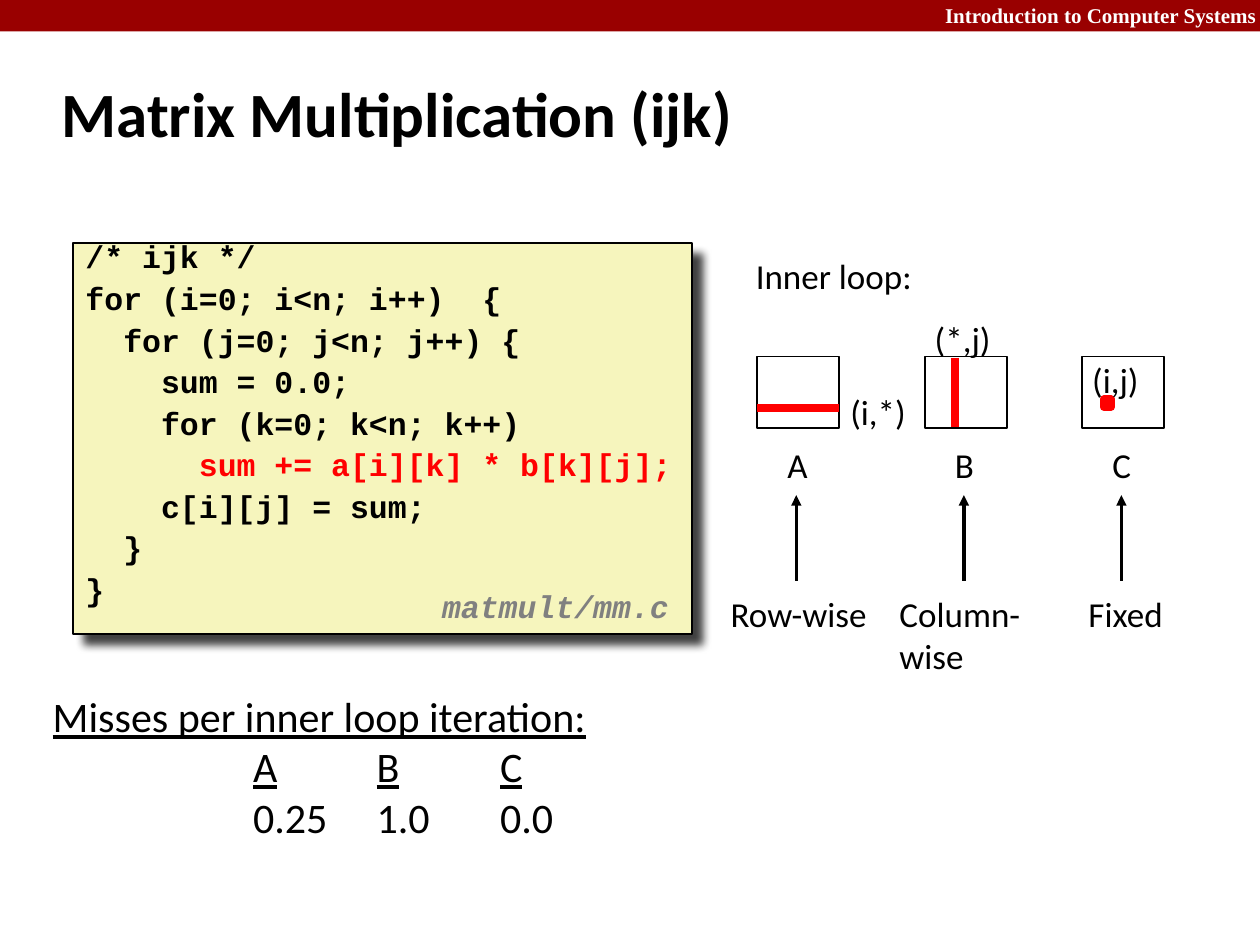
import pptx
import pptx.dml.color
import pptx.enum.shapes
import pptx.enum.text
import pptx.oxml
import pptx.oxml.ns
import pptx.util
from pptx.util import Inches

RGBColor = pptx.dml.color.RGBColor
BLACK = RGBColor(0x00, 0x00, 0x00)
WHITE = RGBColor(0xFF, 0xFF, 0xFF)
RED = RGBColor(0xFF, 0x00, 0x00)
GRAY = RGBColor(0x80, 0x80, 0x80)
BANNER_RED = RGBColor(0x99, 0x00, 0x00)
CODE_YELLOW = RGBColor(0xF6, 0xF5, 0xBD)

PT = pptx.util.Pt
ALIGN = pptx.enum.text.PP_ALIGN
ANCHOR = pptx.enum.text.MSO_ANCHOR
NAMESPACE = pptx.oxml.ns.nsdecls("a")

LABEL = {"name": "Calibri", "size": PT(20)}
TITLE = {"name": "Calibri", "size": PT(36), "bold": True}
HEADER = {"name": "Times New Roman", "size": PT(12), "bold": True}
CODE = {"name": "Courier New", "size": PT(18), "bold": True}
FILE_NAME = {**CODE, "italic": True}
MISSES = {"name": "Calibri", "size": PT(24)}
HEADING = {**MISSES, "underline": True}

CODE_LINES = [
    "/* ijk */",
    "for (i=0; i<n; i++)  {",
    "  for (j=0; j<n; j++) {",
    "    sum = 0.0;",
    "    for (k=0; k<n; k++)",
    "      sum += a[i][k] * b[k][j];",
    "    c[i][j] = sum;",
    "  }",
    "}",
]
INNER_STATEMENT = 5

# Matrix name, left of its square, access pattern, left of the pattern text
MATRICES = [
    ("A", 6.01, ["Row-wise"], 5.70, 1.29),
    ("B", 7.34, ["Column-", "wise"], 7.04, 1.17),
    ("C", 8.59, ["Fixed"], 8.54, 0.79),
]
MISS_TABS = [1.59, 2.57, 3.55]


def set_values(target, values):
    for name, value in values.items():
        setattr(target, name, value)


def add_run(paragraph, text, style, color=BLACK):
    run = paragraph.add_run()
    run.text = text
    set_values(run.font, style)
    run.font.color.rgb = color


def add_text(slide, left, top, width, height, lines, style, color=BLACK,
             wrap=False, align=ALIGN.LEFT, anchor=ANCHOR.TOP):
    box = slide.shapes.add_textbox(*map(Inches, (left, top, width, height)))
    set_values(box.text_frame, {"word_wrap": wrap, "vertical_anchor": anchor})
    for index, line in enumerate(lines):
        paragraph = next_paragraph(box.text_frame, index)
        paragraph.alignment = align
        add_run(paragraph, line, style, color)
    return box


def next_paragraph(frame, index):
    return frame.add_paragraph() if index else frame.paragraphs[0]


def add_rectangle(slide, left, top, width, height, fill, line=None, weight=1):
    shape = slide.shapes.add_shape(
        pptx.enum.shapes.MSO_SHAPE.RECTANGLE,
        *map(Inches, (left, top, width, height)))
    shape.shadow.inherit = False
    shape.fill.solid()
    shape.fill.fore_color.rgb = fill
    if line is None:
        shape.line.fill.background()
    else:
        shape.line.color.rgb = line
        shape.line.width = PT(weight)
    return shape


def add_line(slide, start, end, color, weight, arrow=False):
    connector = slide.shapes.add_connector(
        pptx.enum.shapes.MSO_CONNECTOR.STRAIGHT, *map(Inches, start + end))
    connector.line.color.rgb = color
    connector.line.width = PT(weight)
    if arrow:
        connector.line._get_or_add_ln().append(pptx.oxml.parse_xml(
            f'<a:tailEnd {NAMESPACE} type="triangle"/>'))
    connector._element.spPr.append(
        pptx.oxml.parse_xml(f"<a:effectLst {NAMESPACE}/>"))


def add_drop_shadow(shape):
    effects = shape._element.spPr.find(pptx.oxml.ns.qn("a:effectLst"))
    effects.append(pptx.oxml.parse_xml(
        f'<a:outerShdw {NAMESPACE} blurRad="{PT(5)}" dist="{PT(8.5)}" '
        'dir="2700000" algn="tl" rotWithShape="0"><a:srgbClr val="000000">'
        '<a:alpha val="75000"/></a:srgbClr></a:outerShdw>'))


def add_code(slide):
    box = add_rectangle(slide, 0.58, 1.93, 4.91, 3.1, CODE_YELLOW, BLACK)
    add_drop_shadow(box)
    frame = box.text_frame
    set_values(frame, {"word_wrap": True, "vertical_anchor": ANCHOR.TOP})
    for index, line in enumerate(CODE_LINES):
        paragraph = next_paragraph(frame, index)
        set_values(paragraph, {"alignment": ALIGN.LEFT, "line_spacing": 0.65})
        if index:
            paragraph.space_before = PT(9.7)
        add_run(paragraph, line, CODE,
                RED if index == INNER_STATEMENT else BLACK)


def add_matrices(slide):
    for name, left, pattern, pattern_left, pattern_width in MATRICES:
        add_rectangle(slide, left, 2.83, 0.65, 0.57, WHITE, BLACK)
        add_text(slide, left + 0.14, 3.47, 0.36, 0.43, [name], LABEL)
        middle = left + 0.31
        add_line(slide, (middle, 4.61), (middle, 3.93), BLACK, 2, arrow=True)
        add_text(slide, pattern_left, 4.65, pattern_width,
                 0.1 + 0.33 * len(pattern), pattern, LABEL)


def add_accesses(slide):
    """Mark the row, column and element that the inner loop touches."""
    add_line(slide, (7.58, 2.84), (7.58, 3.39), RED, 4.5)
    add_line(slide, (6.01, 3.24), (6.66, 3.24), RED, 4.5)
    add_rectangle(slide, 8.76, 3.17, 0.06, 0.06, RED, RED, 4.5)
    for text, left, top, width in [("(i,*)", 6.65, 3.05, 0.64),
                                   ("(*,j)", 7.32, 2.47, 0.65),
                                   ("(i,j)", 8.57, 2.80, 0.57),
                                   ("Inner loop:", 5.90, 1.97, 1.45)]:
        add_text(slide, left, top, width, 0.43, [text], LABEL)


def add_tabbed_line(frame, values, style):
    paragraph = frame.add_paragraph()
    stops = "".join(f'<a:tab pos="{Inches(stop)}" algn="l"/>'
                    for stop in MISS_TABS)
    paragraph._p.get_or_add_pPr().append(pptx.oxml.parse_xml(
        f"<a:tabLst {NAMESPACE}>{stops}</a:tabLst>"))
    for value in values:
        add_run(paragraph, "\t", MISSES)
        add_run(paragraph, value, style)


def add_misses(slide):
    box = add_text(slide, 0.32, 5.43, 5.55, 1.33,
                   ["Misses per inner loop iteration:"], HEADING, wrap=True)
    add_tabbed_line(box.text_frame, [matrix[0] for matrix in MATRICES], HEADING)
    add_tabbed_line(box.text_frame, ["0.25", "1.0", "0.0"], MISSES)


def main():
    presentation = pptx.Presentation()
    presentation.slide_width = Inches(10)
    presentation.slide_height = Inches(7.5)
    slide = presentation.slides.add_slide(presentation.slide_layouts[6])
    add_rectangle(slide, 0, 0, 10, 0.25, BANNER_RED)
    add_text(slide, 6, -0.03, 4.07, 0.3, ["Introduction to Computer Systems"],
             HEADER, WHITE, wrap=True, align=ALIGN.RIGHT)
    add_text(slide, 0.39, 0.48, 8.3, 0.83, ["Matrix Multiplication (ijk)"],
             TITLE, wrap=True, anchor=ANCHOR.MIDDLE)
    add_code(slide)
    add_matrices(slide)
    add_accesses(slide)
    add_misses(slide)
    add_text(slide, 3.41, 4.61, 2.08, 0.39, ["matmult/mm.c"], FILE_NAME, GRAY)
    presentation.save("out.pptx")


if __name__ == "__main__":
    main()
